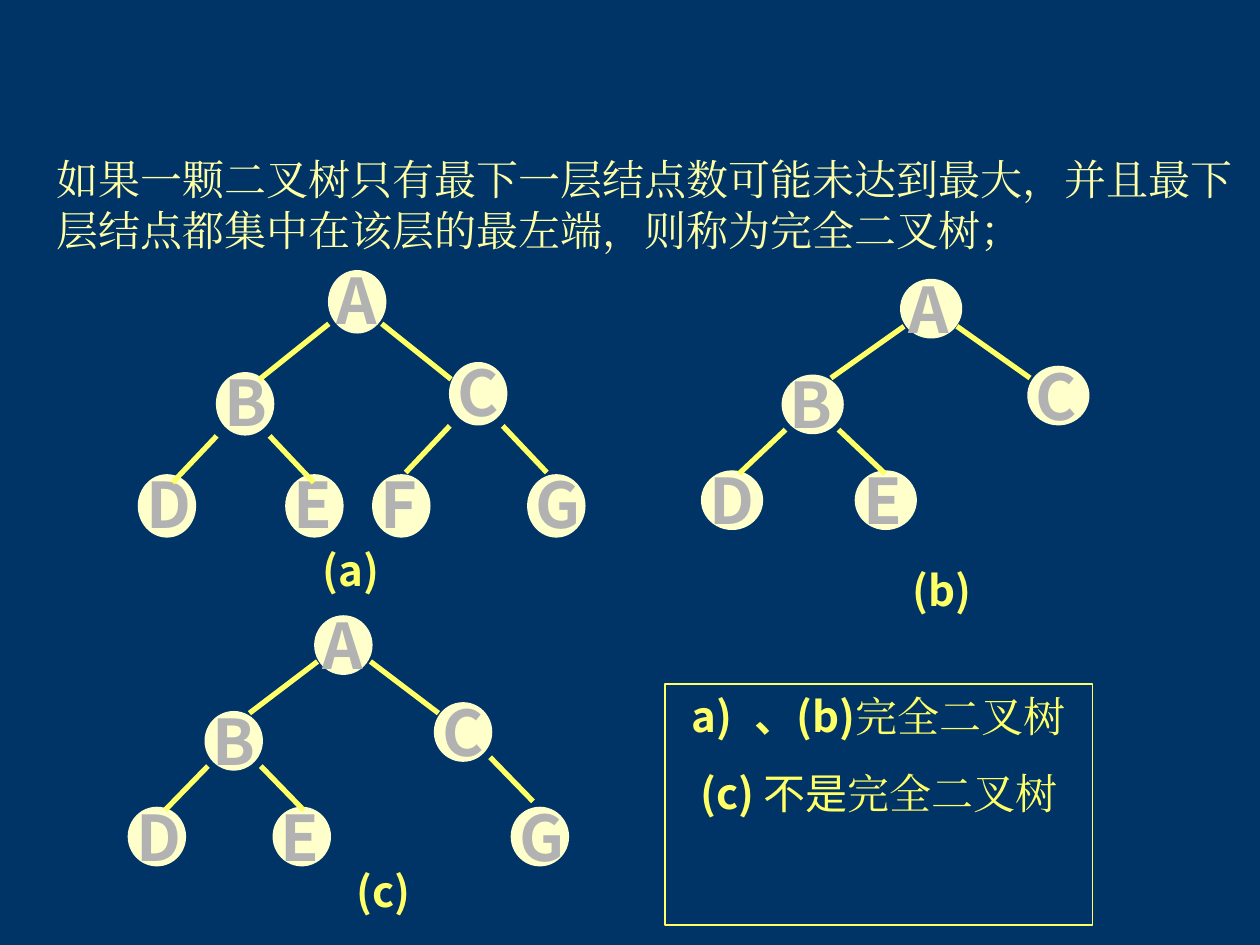
from dataclasses import dataclass

from lxml.etree import SubElement
from pptx import Presentation
from pptx.dml.color import RGBColor
from pptx.enum.shapes import MSO_CONNECTOR, MSO_SHAPE
from pptx.enum.text import MSO_ANCHOR, PP_ALIGN
from pptx.oxml.ns import qn
from pptx.util import Inches, Pt

CELL = Inches(0.1)
COLUMNS, ROWS = 100, 75
NAVY, CREAM, PALE, YELLOW, GREY = "003366", "FFFFCC", "FFFFA5", "FFFF66", "B2B2B2"
SANS, SERIF = "Noto Sans CJK SC", "Times New Roman"


@dataclass
class Tree:
    size: tuple
    branch_left: float
    branch_tops: tuple
    branch_reaches: tuple
    nodes: dict
    children: dict
    caption: str
    caption_at: tuple


TREES = [
    Tree((4.5, 4.9), 0, (4.2, 5), ((5.5, 4.4), (3.5, 3.7)),
         {"A": (26.1, 21.5), "B": (17.2, 29.6), "C": (35.7, 28.8), "D": (11, 37.7),
          "E": (22.7, 37.7), "F": (29.6, 37.7), "G": (41.9, 37.7)},
         {"A": "BC", "B": "DE", "C": "FG"}, "(a)", (22.1, 42.7)),
    Tree((4.8, 4.6), 0.25, (3.7, 4.3), ((5.8, 4.1), (3.7, 3.5)),
         {"A": (71.5, 22.2), "B": (62.1, 29.8), "C": (81.6, 29.1), "D": (55.7, 37.4),
          "E": (67.9, 37.4)},
         {"A": "BC", "B": "DE"}, "(b)", (69, 44.3)),
    Tree((4.5, 4.6), 0.2, (3.6, 4.3), ((5.4, 4.1), (3.4, 3.5)),
         {"A": (25, 48.9), "B": (16.3, 56.5), "C": (34.5, 55.8), "D": (10.2, 64.1),
          "E": (21.7, 64.1), "G": (40.6, 64.1)},
         {"A": "BC", "B": "DE", "C": "-G"}, "(c)", (24.7, 68.2)),
]
BRANCH_GAP = 4.2


def cells(*counts):
    return [round(count * CELL) for count in counts]


def colour(code):
    return RGBColor.from_string(code)


def write(paragraph, text, size=24, font=SANS, fill=YELLOW, bold=False):
    run = paragraph.add_run()
    run.text = text
    run.font.size = Pt(size)
    run.font.name = font
    run.font.bold = bold
    run.font.color.rgb = colour(fill)
    SubElement(run.font._element, qn("a:ea"), typeface=font)
    paragraph.line_spacing = Pt(size * 1.2)


def set_frame(frame, left=1, top=0.5, right=1, bottom=0.5):
    frame.word_wrap = True
    frame.vertical_anchor = MSO_ANCHOR.TOP
    frame.margin_left, frame.margin_top, frame.margin_right, frame.margin_bottom = cells(
        left, top, right, bottom)


def add_text(shapes, at, text, align=PP_ALIGN.LEFT, margins=(1, 0.5, 1, 0.5), **style):
    frame = shapes.add_textbox(*cells(*at)).text_frame
    set_frame(frame, *margins)
    frame.paragraphs[0].alignment = align
    write(frame.paragraphs[0], text, **style)


def add_node(slide, letter, x, y, size):
    node = slide.shapes.add_group_shape().shapes
    disc = node.add_shape(MSO_SHAPE.OVAL, *cells(x, y, *size))
    disc.shadow.inherit = False
    disc.fill.solid()
    disc.fill.fore_color.rgb = colour(CREAM)
    disc.line.color.rgb = colour(CREAM)
    disc.line.width = Pt(1)
    add_text(node, (x - 1.2, y - 1.25, 8.4, 7), letter, margins=(1.8, 0.5, 0.5, 0.5),
             size=36, fill=GREY, bold=True)


def add_branch(slide, x, y, reach, drop):
    branch = slide.shapes.add_connector(
        MSO_CONNECTOR.STRAIGHT, *cells(x, y, x + reach, y + drop))
    branch.line.color.rgb = colour(YELLOW)
    branch.line.width = Pt(3)
    SubElement(branch._element.spPr, qn("a:effectLst"))


def add_tree(slide, tree):
    for letter, (x, y) in tree.nodes.items():
        add_node(slide, letter, x, y, tree.size)
    for parent, pair in tree.children.items():
        x, y = tree.nodes[parent]
        level = 0 if parent == "A" else 1
        reach, drop = tree.branch_reaches[level]
        for side, child in enumerate(pair):
            if child in tree.nodes:
                add_branch(slide, x + tree.branch_left + side * BRANCH_GAP,
                           y + tree.branch_tops[level], reach if side else -reach, drop)
    add_text(slide.shapes, (*tree.caption_at, 11.5, 5), tree.caption,
             align=PP_ALIGN.CENTER, bold=True)


def add_letter_bullet(paragraph):
    properties = paragraph._p.get_or_add_pPr()
    bullet_colour = SubElement(properties, qn("a:buClr"))
    SubElement(bullet_colour, qn("a:srgbClr"), val=YELLOW)
    SubElement(properties, qn("a:buFont"), typeface=SANS)
    SubElement(properties, qn("a:buAutoNum"), type="alphaLcParenR")


def add_conclusion(slide):
    panel = slide.shapes.add_shape(MSO_SHAPE.RECTANGLE, *cells(52.8, 54.3, 33.9, 19.1))
    panel.shadow.inherit = False
    panel.fill.background()
    panel.line.color.rgb = colour(YELLOW)
    panel.line.width = Pt(1)
    frame = panel.text_frame
    set_frame(frame)
    complete, incomplete = frame.paragraphs[0], frame.add_paragraph()
    add_letter_bullet(complete)
    for paragraph in (complete, incomplete):
        paragraph.alignment = PP_ALIGN.CENTER
        properties = paragraph._p.get_or_add_pPr()
        properties.set("marL", str(Inches(0.5)))
        properties.set("indent", str(-Inches(0.5)))
    incomplete.space_before = Pt(15)
    write(complete, "、(b)", bold=True)
    write(complete, "完全二叉树", font=SERIF)
    write(incomplete, "(c) ", bold=True)
    write(incomplete, "不是")
    write(incomplete, "完全二叉树", font=SERIF)


def main():
    deck = Presentation()
    deck.slide_width, deck.slide_height = cells(COLUMNS, ROWS)
    slide = deck.slides.add_slide(deck.slide_layouts[6])
    slide.background.fill.solid()
    slide.background.fill.fore_color.rgb = colour(NAVY)
    add_text(slide.shapes, (3.5, 12.2, 96.5, 8),
             "如果一颗二叉树只有最下一层结点数可能未达到最大，并且最下层结点都集中在该层的最左端，则称为完全二叉树；",
             margins=(1, 0, 0, 0), font=SERIF, fill=PALE)
    for tree in TREES:
        add_tree(slide, tree)
    add_conclusion(slide)
    deck.save("out.pptx")


if __name__ == "__main__":
    main()
